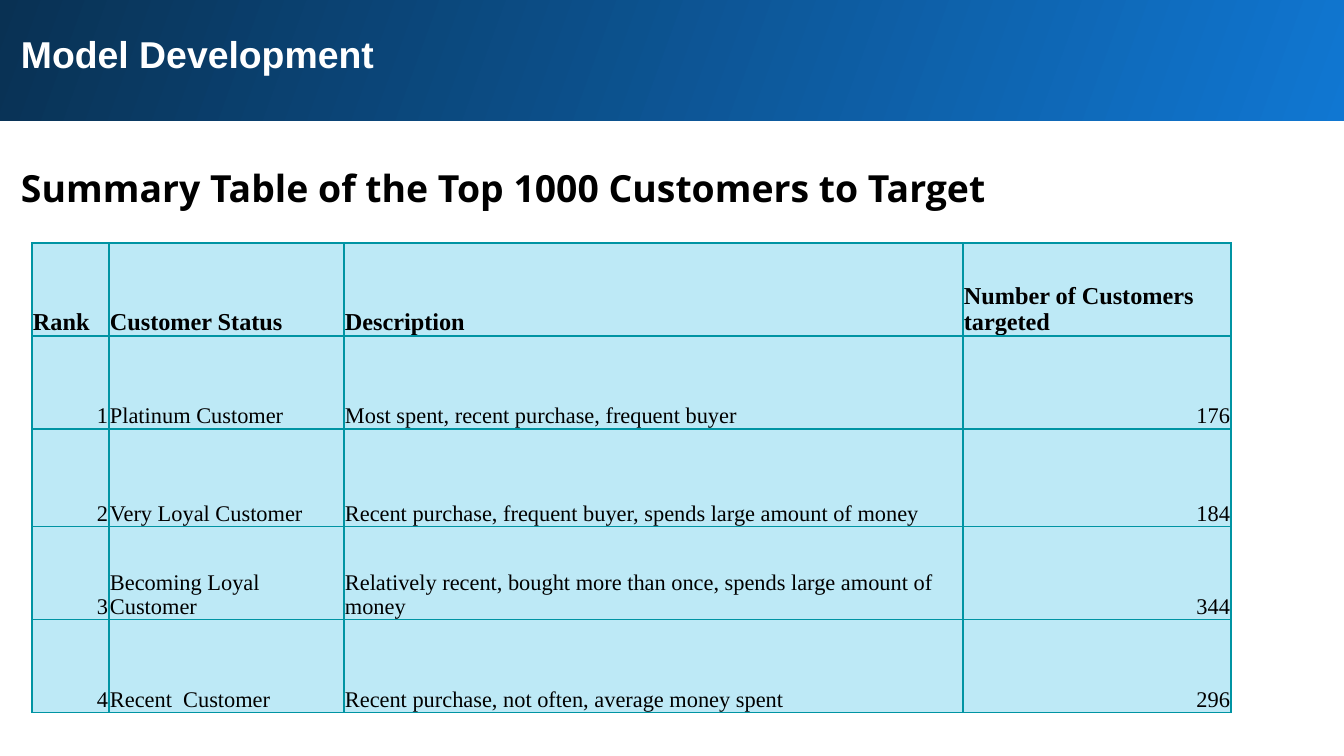
from pptx import Presentation
from pptx.dml.color import RGBColor
from pptx.enum.shapes import MSO_SHAPE as Shape
from pptx.enum.text import MSO_ANCHOR as Anchor, PP_ALIGN as Align
from pptx.oxml import parse_xml
from pptx.oxml.ns import nsdecls
from pptx.util import Emu, Pt

WHITE = RGBColor(0xFF, 0xFF, 0xFF)
BLACK = RGBColor(0, 0, 0)
BRIGHT = RGBColor(0x10, 0x77, 0xD2)
NAVY = RGBColor(0x09, 0x31, 0x53)
PALE = RGBColor(0xBD, 0xE9, 0xF6)
TEAL = RGBColor(0x00, 0x94, 0xA3)


def px(n):
    return Emu(round(n * 914400 / 134.4))


class Deck:
    def __init__(self, wide, high):
        self.prs = Presentation()
        self.prs.slide_width, self.prs.slide_height = px(wide), px(high)
        self.slide = self.prs.slides.add_slide(self.prs.slide_layouts[6])

    def style(self, para, font, size, color, bold):
        for run in para.runs:
            run.font.name, run.font.size = font, Pt(size)
            run.font.bold = bold
            run.font.color.rgb = color

    def band(self, x, y, w, h, start, end, angle):
        box = self.slide.shapes.add_shape(Shape.RECTANGLE, *map(px, (x, y, w, h)))
        box.shadow.inherit = False
        box.line.fill.background()
        box.fill.gradient()
        box.fill.gradient_angle = angle
        for stop, color, place in zip(box.fill.gradient_stops, (start, end), (0, 1)):
            stop.color.rgb, stop.position = color, place

    def text(self, x, y, w, h, words, font, color, space=1.0):
        frame = self.slide.shapes.add_textbox(*map(px, (x, y, w, h))).text_frame
        frame.word_wrap = True
        frame.margin_left = frame.margin_right = px(13)
        frame.margin_top = frame.margin_bottom = px(13)
        para = frame.paragraphs[0]
        para.text, para.line_spacing = words, space
        self.style(para, font, 20, color, True)

    def edge(self, cell):
        props = cell._tc.get_or_add_tcPr()
        for i, side in enumerate(("lnL", "lnR", "lnT", "lnB")):
            props.insert(i, parse_xml(
                f'<a:{side} {nsdecls("a")} w="{Pt(0.75)}"><a:solidFill>'
                f'<a:srgbClr val="{TEAL}"/></a:solidFill></a:{side}>'))

    def cell(self, cell, words, head, right):
        cell.fill.solid()
        cell.fill.fore_color.rgb = PALE
        cell.vertical_anchor = Anchor.BOTTOM
        cell.margin_left = cell.margin_right = cell.margin_top = px(1)
        cell.margin_bottom = 0
        para = cell.text_frame.paragraphs[0]
        para.text = words
        para.alignment = Align.RIGHT if right else Align.LEFT
        self.style(para, "Times New Roman", 13 if head else 12, BLACK, head)
        self.edge(cell)

    def table(self, x, y, cols, rows, data):
        size = map(px, (x, y, sum(cols), sum(rows)))
        grid = self.slide.shapes.add_table(len(rows), len(cols), *size).table
        grid.horz_banding = False
        for col, wide in zip(grid.columns, cols):
            col.width = px(wide)
        for r, (row, high) in enumerate(zip(data, rows)):
            grid.rows[r].height = px(high)
            for c, words in enumerate(row):
                self.cell(grid.cell(r, c), words, r == 0, words.isdigit())


ranks = [
    ("Rank", "Customer Status", "Description", "Number of Customers targeted"),
    ("1", "Platinum Customer", "Most spent, recent purchase, frequent buyer", "176"),
    ("2", "Very Loyal Customer",
     "Recent purchase, frequent buyer, spends large amount of money", "184"),
    ("3", "Becoming Loyal Customer",
     "Relatively recent, bought more than once, spends large amount of money", "344"),
    ("4", "Recent  Customer", "Recent purchase, not often, average money spent", "296"),
]

deck = Deck(1344, 756)
deck.band(-3, -3, 1351, 124, BRIGHT, NAVY, 160)
deck.text(8, 18, 1259, 73, "Model Development ", "Arial", WHITE)
deck.text(8, 145, 1259, 75, "Summary Table of the Top 1000 Customers to Target",
          "Open Sans", BLACK, 1.15)
deck.table(32, 243, (77, 235, 619, 268), (93, 93, 98, 93, 93), ranks)
deck.prs.save("out.pptx")
